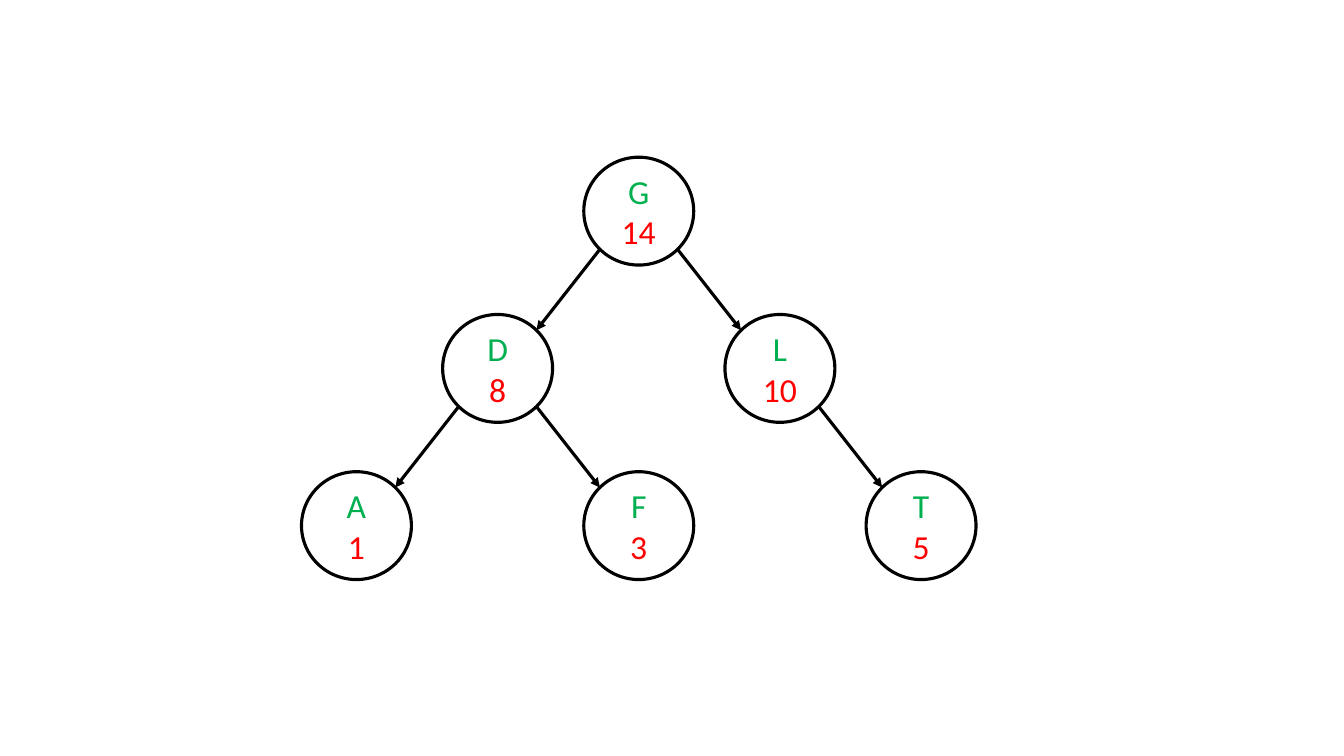
from math import sqrt

from lxml.etree import SubElement
from pptx import Presentation
from pptx.dml.color import RGBColor
from pptx.enum.shapes import MSO_CONNECTOR as Connector, MSO_SHAPE as Shape
from pptx.enum.text import MSO_ANCHOR as Anchor, PP_ALIGN as Align
from pptx.oxml.ns import qn
from pptx.util import Inches, Pt

# Content: key -> (priority, column, row, parent)
TREE = {
    "G": (14, 2, 0, None),
    "D": (8, 1, 1, "G"),
    "L": (10, 3, 1, "G"),
    "A": (1, 0, 2, "D"),
    "F": (3, 2, 2, "D"),
    "T": (5, 4, 2, "L"),
}
COLORS = {"outline": "000000", "key": "00B050", "priority": "FF0000"}
FONT, TEXT_SIZE, OUTLINE_WIDTH = "Calibri", Pt(24), Pt(2.25)

# Grid, in inches
GRID_LEFT, GRID_TOP = 2.99, 1.56
COLUMN, ROW = 1.4, 1.56
NODE_W, NODE_H = 1.09, 1.07


def color(name):
    return RGBColor.from_string(COLORS[name])


def center(key):
    _, column, row, _ = TREE[key]
    return (GRID_LEFT + column * COLUMN + NODE_W / 2,
            GRID_TOP + row * ROW + NODE_H / 2)


def outline(line):
    line.color.rgb = color("outline")
    line.width = OUTLINE_WIDTH


def add_node(slide, key, priority):
    x, y = center(key)
    node = slide.shapes.add_shape(
        Shape.OVAL, Inches(x - NODE_W / 2), Inches(y - NODE_H / 2),
        Inches(NODE_W), Inches(NODE_H))
    node.shadow.inherit = False
    node.fill.background()
    outline(node.line)
    frame = node.text_frame
    frame.word_wrap = True
    frame.vertical_anchor = Anchor.MIDDLE
    label = frame.paragraphs[0], frame.add_paragraph()
    for paragraph, text, role in zip(label, (key, str(priority)), ("key", "priority")):
        paragraph.alignment = Align.CENTER
        run = paragraph.add_run()
        run.text = text
        run.font.name, run.font.size = FONT, TEXT_SIZE
        run.font.color.rgb = color(role)


def add_edge(slide, parent, child):
    # Edges meet the ellipses on their diagonals
    (x1, y1), (x2, y2) = center(parent), center(child)
    dx, dy = NODE_W / 2 / sqrt(2), NODE_H / 2 / sqrt(2)
    side = 1 if x2 > x1 else -1
    edge = slide.shapes.add_connector(
        Connector.STRAIGHT, Inches(x1 + side * dx), Inches(y1 + dy),
        Inches(x2 - side * dx), Inches(y2 - dy))
    outline(edge.line)
    SubElement(edge.line._get_or_add_ln(), qn("a:tailEnd"), type="triangle")
    SubElement(edge._element.spPr, qn("a:effectLst"))


def main():
    deck = Presentation()
    deck.slide_width, deck.slide_height = Inches(13.33), Inches(7.5)
    slide = deck.slides.add_slide(deck.slide_layouts[6])
    for key, (priority, _, _, parent) in TREE.items():
        add_node(slide, key, priority)
        if parent:
            add_edge(slide, parent, key)
    deck.save("out.pptx")


if __name__ == "__main__":
    main()
